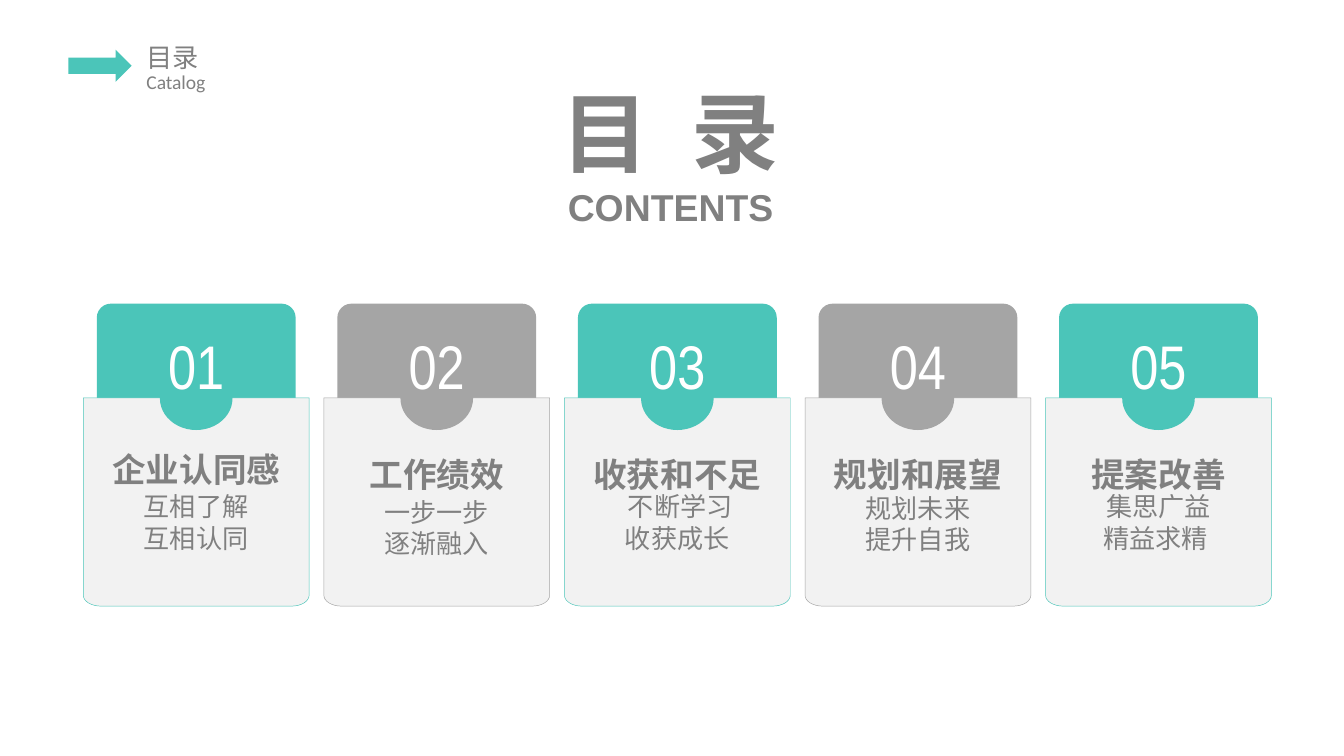
from math import cos, pi, sin

from lxml import etree
from pptx import Presentation
from pptx.dml.color import RGBColor
from pptx.enum.shapes import MSO_SHAPE
from pptx.enum.text import MSO_ANCHOR, MSO_AUTO_SIZE, PP_ALIGN
from pptx.oxml.ns import qn
from pptx.util import Inches, Pt

ARROW, ROUNDED, OVAL = MSO_SHAPE.RIGHT_ARROW, MSO_SHAPE.ROUNDED_RECTANGLE, MSO_SHAPE.OVAL
LEFT, CENTER = PP_ALIGN.LEFT, PP_ALIGN.CENTER
TOP, MIDDLE = MSO_ANCHOR.TOP, MSO_ANCHOR.MIDDLE
GROW = MSO_AUTO_SIZE.SHAPE_TO_FIT_TEXT

SLIDE_W = 10
SLIDE_H = SLIDE_W * 9 / 16
TEAL, SILVER, PANEL, GREY, WHITE = "4BC5B9", "A5A5A5", "F2F2F2", "808080", "FFFFFF"
CJK = "Noto Sans CJK SC"

# Card grid: left edge of the first column, column step, card width
FIRST_LEFT, STEP, CARD_W = 0.62, 1.79, 1.68
# Card rows: top of the tab, of the panel, and the panel's bottom
TAB_TOP, PANEL_TOP, PANEL_BOTTOM = 2.26, 2.96, 4.51

# Number, title, detail lines, top of title, top of detail
CARDS = [
    ("01", "企业认同感", "互相了解\n互相认同", 3.30, 3.61),
    ("02", "工作绩效", "一步一步\n逐渐融入", 3.34, 3.65),
    ("03", "收获和不足", " 不断学习\n收获成长", 3.34, 3.61),
    ("04", "规划和展望", "规划未来\v提升自我", 3.34, 3.62),
    ("05", "提案改善", "集思广益\n精益求精 ", 3.34, 3.61),
]


def color(hex_value):
    return RGBColor.from_string(hex_value)


def paint(shape, fill, line=None):
    shape.shadow.inherit = False
    shape.fill.solid()
    shape.fill.fore_color.rgb = color(fill)
    if line:
        shape.line.color.rgb = color(line)
        shape.line.width = Pt(0.25)
    else:
        shape.line.fill.background()


def add_block(slide, kind, left, top, width, height, fill):
    block = slide.shapes.add_shape(
        kind, Inches(left), Inches(top), Inches(width), Inches(height))
    paint(block, fill)
    return block


def add_label(slide, words, left, top, width, height, size, font, ink=GREY, bold=False,
              align=CENTER, anchor=TOP, insets=(0.07, 0.04), wrap=True, tracking=0):
    label = slide.shapes.add_textbox(
        Inches(left), Inches(top), Inches(width), Inches(height))
    frame = label.text_frame
    frame.word_wrap, frame.auto_size, frame.vertical_anchor = wrap, GROW, anchor
    frame.margin_left = frame.margin_right = Inches(insets[0])
    frame.margin_top = frame.margin_bottom = Inches(insets[1])
    frame.text = words
    for paragraph in frame.paragraphs:
        paragraph.alignment = align
        for run in paragraph.runs:
            run.font.size, run.font.bold, run.font.name = Pt(size), bold, font
            run.font.color.rgb = color(ink)
            properties = run.font._element
            etree.SubElement(properties, qn("a:ea")).set("typeface", CJK)
            if tracking:
                properties.set("spc", str(tracking))


def add_panel(slide, left, accent):
    """Panel with square top corners and elliptical bottom corners."""
    right, radius_x, radius_y, steps = left + CARD_W, 0.13, 0.08, 8
    quarter = [(radius_x * (1 - cos(a)), radius_y * (1 - sin(a)))
               for a in (i * pi / 2 / steps for i in range(steps + 1))]
    outline = [(left, PANEL_TOP), (right, PANEL_TOP)]
    outline += [(right - x, PANEL_BOTTOM - y) for x, y in quarter]
    outline += [(left + x, PANEL_BOTTOM - y) for x, y in reversed(quarter)]
    start, *corners = [(Inches(x), Inches(y)) for x, y in outline]
    builder = slide.shapes.build_freeform(*start)
    builder.add_line_segments(corners, close=True)
    paint(builder.convert_to_shape(), PANEL, accent)


def add_card(slide, column, number, title, detail, title_top, detail_top):
    left = FIRST_LEFT + column * STEP
    accent = SILVER if column % 2 else TEAL

    def centered(width):
        return left + (CARD_W - width) / 2

    tab = add_block(slide, ROUNDED, centered(1.48), TAB_TOP, 1.48, 1.16, accent)
    tab.adjustments[0] = 0.09
    add_panel(slide, left, accent)
    add_block(slide, OVAL, centered(0.54), 2.73, 0.54, 0.47, accent)
    add_label(slide, number, centered(0.8), 2.4, 0.8, 0.5, 33, "Arial Narrow", WHITE)
    add_label(slide, title, centered(1.48), title_top, 1.48, 0.38, 18, CJK, bold=True)
    add_label(slide, detail, centered(1.22), detail_top, 1.22, 0.55, 14, CJK)


def add_header(slide):
    corner = {"align": LEFT, "insets": (0.11, 0.05), "wrap": False}
    add_label(slide, "目录", 0.98, 0.26, 0.61, 0.34, 14, CJK, **corner)
    add_label(slide, "Catalog", 0.98, 0.47, 0.66, 0.28, 10.5, "Calibri", **corner)
    add_block(slide, ARROW, 0.51, 0.37, 0.47, 0.24, TEAL)


def add_heading(slide):
    left, width = 0.387 * SLIDE_W, 0.224 * SLIDE_W
    heading = {"font": "Arial", "bold": True, "insets": (0, 0)}
    add_label(slide, "目 录", left, 0.58, width, 0.79, 47,
              anchor=MIDDLE, tracking=600, **heading)
    add_label(slide, "CONTENTS", left, 1.37, width, 0.34, 20, **heading)


def main():
    deck = Presentation()
    deck.slide_width, deck.slide_height = Inches(SLIDE_W), Inches(SLIDE_H)
    slide = deck.slides.add_slide(deck.slide_layouts[6])
    add_header(slide)
    add_heading(slide)
    for column, card in enumerate(CARDS):
        add_card(slide, column, *card)
    deck.save("out.pptx")


if __name__ == "__main__":
    main()
